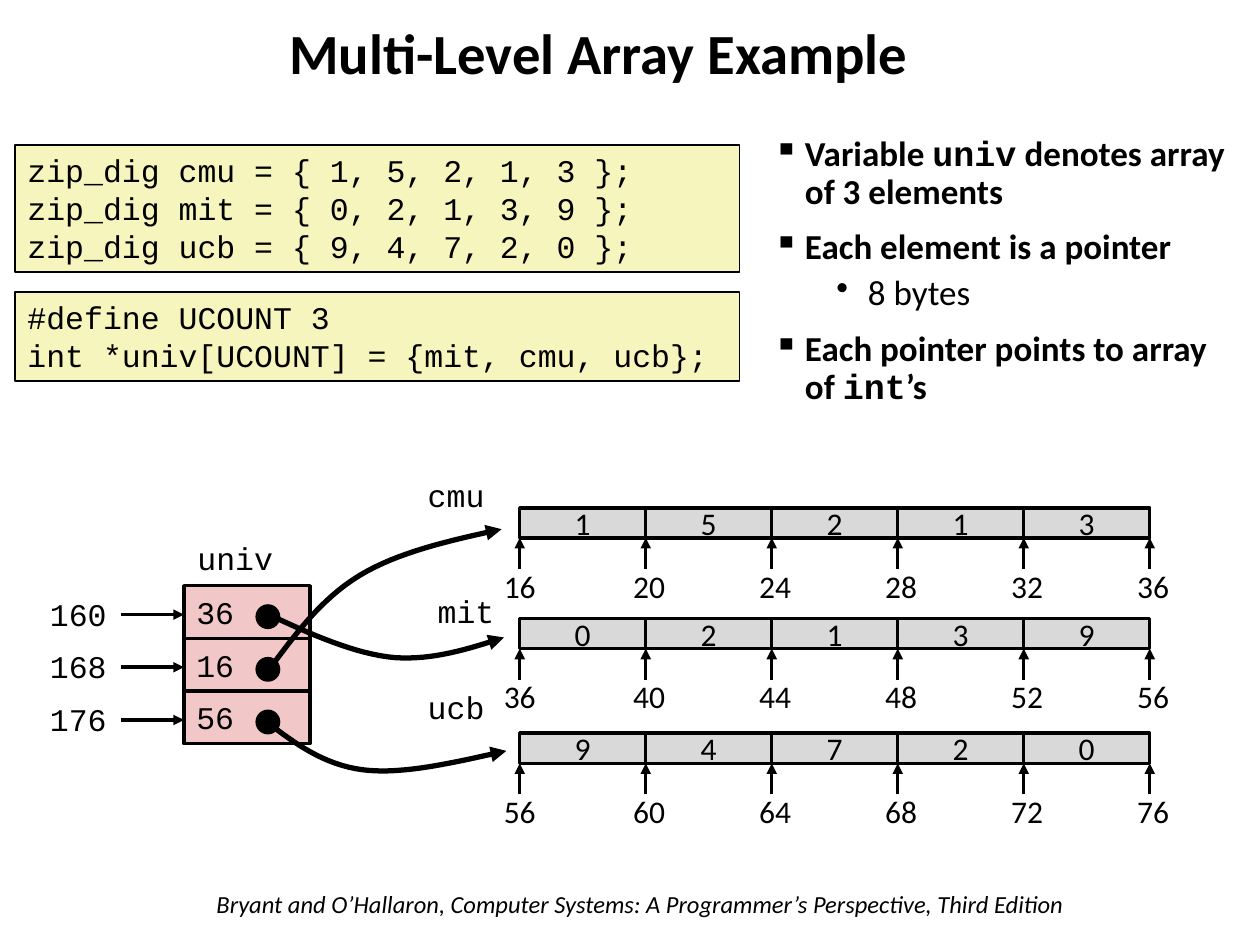
from dataclasses import dataclass
from itertools import pairwise
from typing import NamedTuple

from lxml.etree import SubElement
from pptx import Presentation
from pptx.dml.color import RGBColor
from pptx.enum.shapes import MSO_CONNECTOR as Connector, MSO_SHAPE as Preset
from pptx.enum.text import MSO_ANCHOR as Anchor, PP_ALIGN as Align
from pptx.oxml.ns import qn
from pptx.util import Pt


@dataclass(frozen=True)
class Theme:
    ink: RGBColor = RGBColor(0, 0, 0)
    code_fill: RGBColor = RGBColor(0xF6, 0xF5, 0xBD)
    pointer_fill: RGBColor = RGBColor(0xF1, 0xC7, 0xC7)
    digit_fill: RGBColor = RGBColor(0xD9, 0xD9, 0xD9)
    sans: str = "Calibri"
    mono: str = "Courier New"
    title: float = 32.4
    bullet: float = 20
    label: float = 18
    footer: float = 14


THEME = Theme()


class Box(NamedTuple):
    left: float
    top: float
    width: float
    height: float


class Run(NamedTuple):
    text: str
    size: float = THEME.label
    font: str = THEME.sans
    bold: bool = False
    italic: bool = False


class Bullet(NamedTuple):
    runs: list[Run]
    mark: str = "▪"
    indent: float = 18
    before: float = 10


class DigitArray(NamedTuple):
    name: str
    name_left: float
    name_top: float
    top: float
    digits: list[int]
    address: int


class Pointer(NamedTuple):
    address: int
    value: int
    curve: list[tuple[float, float]]  # start, then two control points and an end per segment


ARRAYS = [
    DigitArray("cmu", 236.9, 268.6, 290.2, [1, 5, 2, 1, 3], 16),
    DigitArray("mit", 242.6, 334.8, 353.5, [0, 2, 1, 3, 9], 36),
    DigitArray("ucb", 236.9, 389.5, 419, [9, 4, 7, 2, 0], 56),
]
POINTERS = [
    Pointer(160, 36, [(154, 351.4), (178.6, 362.9), (203, 373.7), (225.4, 375.8),
                      (247.7, 377.3), (267.8, 370.8), (288, 364.3)]),
    Pointer(168, 16, [(153.4, 383), (168.5, 362.9), (182.9, 342.7), (205.2, 329),
                      (227.5, 315.4), (257, 308.9), (286.6, 302.4)]),
    Pointer(176, 56, [(152.6, 412.6), (168.5, 424.8), (185, 437), (207.4, 439.9),
                      (230.4, 442.8), (259.9, 435.6), (289.4, 429.1)]),
]
BULLETS = [
    Bullet([Run("Variable ", THEME.bullet, bold=True),
            Run("univ", THEME.bullet, THEME.mono, True),
            Run(" denotes array of 3 elements", THEME.bullet, bold=True)], before=0),
    Bullet([Run("Each element is a pointer", THEME.bullet, bold=True)]),
    Bullet([Run("8 bytes", THEME.bullet)], "•", 54, 5),
    Bullet([Run("Each pointer points to array of ", THEME.bullet, bold=True),
            Run("int", THEME.bullet, THEME.mono, True),
            Run("’s", THEME.bullet, bold=True)]),
]
CODE_BLOCKS = [
    (Box(8.6, 82.8, 414, 72.7), ["zip_dig cmu = { 1, 5, 2, 1, 3 };",
                                 "zip_dig mit = { 0, 2, 1, 3, 9 };",
                                 "zip_dig ucb = { 9, 4, 7, 2, 0 };"]),
    (Box(8.6, 166.7, 414, 51.1), ["#define UCOUNT 3",
                                  "int *univ[UCOUNT] = {mit, cmu, ucb};"]),
]
DIGIT_LEFT, DIGIT_WIDTH, DIGIT_HEIGHT = 297, 72, 17.2
POINTER_LEFT, POINTER_TOP, POINTER_HEIGHT = 105.1, 334.7, 30.1
INT_BYTES = 4
LABEL_HEIGHT = 29
DOT = 12.2


def add_run(paragraph, run: Run) -> None:
    part = paragraph.add_run()
    part.text = run.text
    font = part.font
    font.name, font.size = run.font, Pt(run.size)
    font.bold, font.italic = run.bold, run.italic
    font.color.rgb = THEME.ink


def write(shape, lines: list[Run], align=Align.LEFT, anchor=Anchor.TOP) -> None:
    """Put one run per paragraph into the shape."""
    frame = shape.text_frame
    frame.word_wrap = True
    frame.vertical_anchor = anchor
    for index, run in enumerate(lines):
        paragraph = frame.add_paragraph() if index else frame.paragraphs[0]
        paragraph.alignment = align
        add_run(paragraph, run)


def add_text(slide, box: Box, run: Run, align=Align.LEFT, anchor=Anchor.TOP):
    shape = slide.shapes.add_textbox(*map(Pt, box))
    write(shape, [run], align, anchor)
    return shape


def add_filled(slide, preset, box: Box, fill: RGBColor, weight: float = 2):
    shape = slide.shapes.add_shape(preset, *map(Pt, box))
    shape.shadow.inherit = False
    shape.fill.solid()
    shape.fill.fore_color.rgb = fill
    shape.line.color.rgb = THEME.ink
    shape.line.width = Pt(weight)
    return shape


def style_arrow(shape, weight: float) -> None:
    shape.line.color.rgb = THEME.ink
    shape.line.width = Pt(weight)
    SubElement(shape.line._get_or_add_ln(), qn("a:tailEnd"), type="triangle")


def add_arrow(slide, *ends: float) -> None:
    arrow = slide.shapes.add_connector(Connector.STRAIGHT, *map(Pt, ends))
    style_arrow(arrow, 2)
    SubElement(arrow._element.spPr, qn("a:effectLst"))


def add_curve(slide, knots: list[tuple[float, float]], steps: int = 16) -> None:
    """Draw joined cubic Bézier segments as a fine open outline with an arrowhead."""
    points = []
    for start in range(0, len(knots) - 1, 3):
        segment = knots[start:start + 4]
        for step in range(1, steps + 1):
            t = step / steps
            weights = ((1 - t) ** 3, 3 * t * (1 - t) ** 2, 3 * t * t * (1 - t), t ** 3)
            points.append(tuple(Pt(sum(w * c for w, c in zip(weights, axis)))
                                for axis in zip(*segment)))
    builder = slide.shapes.build_freeform(*map(Pt, knots[0]))
    builder.add_line_segments(points, close=False)
    curve = builder.convert_to_shape()
    curve.shadow.inherit = False
    curve.fill.background()
    style_arrow(curve, 3)


def add_bullets(slide, box: Box) -> None:
    frame = slide.shapes.add_textbox(*map(Pt, box)).text_frame
    frame.word_wrap = True
    for index, bullet in enumerate(BULLETS):
        paragraph = frame.add_paragraph() if index else frame.paragraphs[0]
        properties = paragraph._p.get_or_add_pPr()
        properties.set("marL", str(Pt(bullet.indent)))
        properties.set("indent", str(-Pt(18)))
        SubElement(properties, qn("a:buChar"), char=bullet.mark)
        paragraph.line_spacing = 0.9
        paragraph.space_before = Pt(bullet.before)
        for run in bullet.runs:
            add_run(paragraph, run)


def add_digit_array(slide, array: DigitArray) -> None:
    add_text(slide, Box(array.name_left, array.name_top, 47, LABEL_HEIGHT),
             Run(array.name, font=THEME.mono), Align.RIGHT)
    edges = [DIGIT_LEFT + DIGIT_WIDTH * index for index in range(len(array.digits) + 1)]
    for digit, (left, right) in zip(array.digits, pairwise(edges)):
        cell = add_filled(slide, Preset.RECTANGLE,
                          Box(left, array.top, right - left, DIGIT_HEIGHT), THEME.digit_fill)
        write(cell, [Run(str(digit))], Align.CENTER, Anchor.MIDDLE)
    for index, edge in enumerate(edges):
        add_arrow(slide, edge, array.top + 35, edge, array.top + DIGIT_HEIGHT)
        center = edge + (2 if index else 0)
        add_text(slide, Box(center - 39, array.top + 30, 78, LABEL_HEIGHT),
                 Run(str(array.address + INT_BYTES * index)), Align.CENTER)


def add_pointer(slide, index: int, pointer: Pointer) -> None:
    top = POINTER_TOP + POINTER_HEIGHT * index
    cell = add_filled(slide, Preset.RECTANGLE,
                      Box(POINTER_LEFT, top, 72, POINTER_HEIGHT), THEME.pointer_fill)
    write(cell, [Run(str(pointer.value), font=THEME.mono)], anchor=Anchor.MIDDLE)
    add_filled(slide, Preset.OVAL, Box(147, top + 11.6, DOT, DOT), THEME.ink)
    add_arrow(slide, 69, top + 16.5, POINTER_LEFT, top + 16.5)
    add_text(slide, Box(21, top + 1.6, 47, LABEL_HEIGHT),
             Run(str(pointer.address), font=THEME.mono), Align.RIGHT)


def main() -> None:
    presentation = Presentation()
    presentation.slide_width, presentation.slide_height = Pt(720), Pt(540)
    slide = presentation.slides.add_slide(presentation.slide_layouts[6])
    add_text(slide, Box(116.6, 504.7, 511, 24.5),
             Run("Bryant and O’Hallaron, Computer Systems: A Programmer’s Perspective, "
                 "Third Edition", THEME.footer, italic=True))
    title = add_text(slide, Box(62, 9.4, 560, 45.4),
                     Run("Multi-Level Array Example", THEME.title, bold=True),
                     Align.CENTER, Anchor.MIDDLE)
    title.text_frame.paragraphs[0].line_spacing = 0.9
    add_bullets(slide, Box(434.9, 74.2, 275.8, 180))
    for box, lines in CODE_BLOCKS:
        block = add_filled(slide, Preset.RECTANGLE, box, THEME.code_fill, 1)
        write(block, [Run(line, font=THEME.mono) for line in lines])
    add_text(slide, Box(POINTER_LEFT, 304.6, 58, LABEL_HEIGHT),
             Run("univ", font=THEME.mono), Align.RIGHT)
    for index, pointer in enumerate(POINTERS):
        add_pointer(slide, index, pointer)
    for array in ARRAYS:
        add_digit_array(slide, array)
    for pointer in POINTERS:
        add_curve(slide, pointer.curve)
    presentation.save("out.pptx")


if __name__ == "__main__":
    main()
